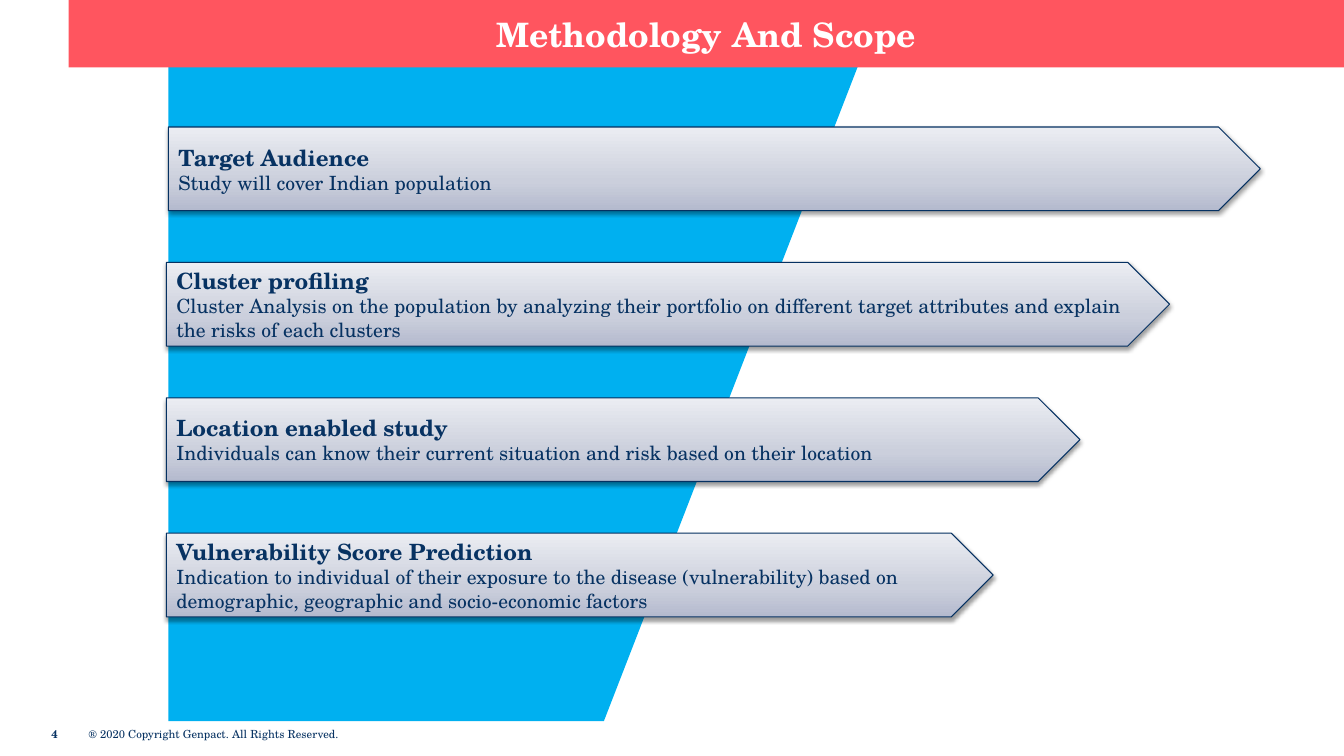
from copy import deepcopy
from dataclasses import dataclass

from lxml import etree
from pptx import Presentation
from pptx import util as u
from pptx.dml.color import RGBColor
from pptx.enum import shapes, text
from pptx.oxml.ns import qn


@dataclass(frozen=True)
class Theme:
    font: str = "TeX Gyre Schola"
    navy: str = "073262"
    outline: str = "053162"
    banner: str = "FF555F"
    panel: str = "00B0F0"
    white: str = "FFFFFF"
    gradient: tuple = ((0, "B4BACE"), (0.35, "CBCFDC"), (1, "EBEDF2"))
    title_size: int = 24
    heading_size: int = 16
    detail_size: int = 14
    footer_size: int = 8


@dataclass(frozen=True)
class Step:
    heading: str
    detail: str
    width: float
    left: float = 12.38


THEME = Theme()
WIDTH, HEIGHT = u.Inches(13.333), u.Inches(7.5)

# Lengths below are percentages of the slide's width and height
FIRST_TOP, PITCH, BAR_HEIGHT = 16.8, 17.91, 11.07
FOOTER_TOP, FOOTER_HEIGHT = 95.47, 3.2

STEPS = [
    Step("Target Audience", "Study will cover Indian population", 81.25, 12.53),
    Step("Cluster profiling",
         "Cluster Analysis on the population by analyzing their portfolio on different "
         "target attributes and explain the risks of each clusters", 74.64),
    Step("Location enabled study",
         "Individuals can know their current situation and risk based on their location",
         67.97),
    Step("Vulnerability Score Prediction",
         "Indication to individual of their exposure to the disease (vulnerability) based on "
         "demographic, geographic and socio-economic factors", 61.52),
]


def across(share: float) -> int:
    return round(WIDTH * share / 100)


def down(share: float) -> int:
    return round(HEIGHT * share / 100)


def box(left: float, top: float, width: float, height: float) -> tuple:
    return across(left), down(top), across(width), down(height)


def rgb(code: str) -> RGBColor:
    return RGBColor.from_string(code)


def add_run(paragraph, words: str, size: int, color: str, bold: bool = False) -> None:
    run = paragraph.add_run()
    run.text = words
    run.font.name = THEME.font
    run.font.size = u.Pt(size)
    run.font.bold = bold
    run.font.color.rgb = rgb(color)


def fill_gradient(shape) -> None:
    shape.fill.gradient()
    shape.fill.gradient_angle = 90
    stop_list = next(shape._element.iter(qn("a:gsLst")))
    stop_list.append(deepcopy(stop_list[-1]))
    for stop, (position, color) in zip(shape.fill.gradient_stops, THEME.gradient):
        stop.position = position
        stop.color.rgb = rgb(color)


def add_shadow(shape) -> None:
    shape.shadow.inherit = False
    effects = shape._element.spPr.find(qn("a:effectLst"))
    shadow = etree.SubElement(effects, qn("a:outerShdw"), blurRad="40000", dist="20000",
                              dir="5400000", rotWithShape="0")
    color = etree.SubElement(shadow, qn("a:srgbClr"), val="000000")
    etree.SubElement(color, qn("a:alpha"), val="38000")


def add_step(slide, step: Step, row: int) -> None:
    bar = slide.shapes.add_shape(
        shapes.MSO_SHAPE.PENTAGON,
        *box(step.left, FIRST_TOP + row * PITCH, step.width, BAR_HEIGHT))
    fill_gradient(bar)
    bar.line.color.rgb = rgb(THEME.outline)
    bar.line.width = u.Pt(0.75)
    add_shadow(bar)
    frame = bar.text_frame
    frame.word_wrap = True
    frame.vertical_anchor = text.MSO_ANCHOR.MIDDLE
    heading, detail = frame.paragraphs[0], frame.add_paragraph()
    heading.alignment = detail.alignment = text.PP_ALIGN.LEFT
    add_run(heading, step.heading, THEME.heading_size, THEME.navy, bold=True)
    add_run(detail, step.detail, THEME.detail_size, THEME.navy)


def add_footer(slide, words: str, left: float, width: float, bold: bool = False) -> None:
    frame = slide.shapes.add_textbox(*box(left, FOOTER_TOP, width, FOOTER_HEIGHT)).text_frame
    frame.word_wrap = True
    frame.vertical_anchor = text.MSO_ANCHOR.MIDDLE
    frame.margin_left = frame.margin_right = frame.margin_top = frame.margin_bottom = 0
    add_run(frame.paragraphs[0], words, THEME.footer_size, THEME.navy, bold)


def add_panel(slide) -> None:
    corners = [(12.53, 6.4), (12.53, 95.4), (44.93, 95.4), (64.35, 6.4)]
    start, *rest = [(across(x), down(y)) for x, y in corners]
    builder = slide.shapes.build_freeform(*start)
    builder.add_line_segments(rest, close=True)
    panel = builder.convert_to_shape()
    panel.fill.solid()
    panel.fill.fore_color.rgb = rgb(THEME.panel)
    panel.line.fill.background()
    panel.shadow.inherit = False


def set_title(slide, words: str) -> None:
    title = slide.shapes.title
    title.left, title.top, title.width, title.height = box(5.1, 0, 94.9, 8.93)
    title.fill.solid()
    title.fill.fore_color.rgb = rgb(THEME.banner)
    frame = title.text_frame
    frame.auto_size = text.MSO_AUTO_SIZE.NONE
    frame.vertical_anchor = text.MSO_ANCHOR.MIDDLE
    frame.paragraphs[0].alignment = text.PP_ALIGN.CENTER
    add_run(frame.paragraphs[0], words, THEME.title_size, THEME.white, bold=True)
    # The banner covers the top of the panel
    slide.shapes._spTree.append(title._element)


def main() -> None:
    deck = Presentation()
    deck.slide_width, deck.slide_height = WIDTH, HEIGHT
    slide = deck.slides.add_slide(deck.slide_layouts[5])

    # Footer
    add_footer(slide, "4", 3.83, 2.5, bold=True)
    add_footer(slide, "® 2020 Copyright Genpact. All Rights Reserved.", 6.6, 19.35)

    # Slanted panel and the steps across it
    add_panel(slide)
    for row, step in enumerate(STEPS):
        add_step(slide, step, row)

    # Banner
    set_title(slide, "Methodology And Scope")
    deck.save("out.pptx")


if __name__ == "__main__":
    main()
